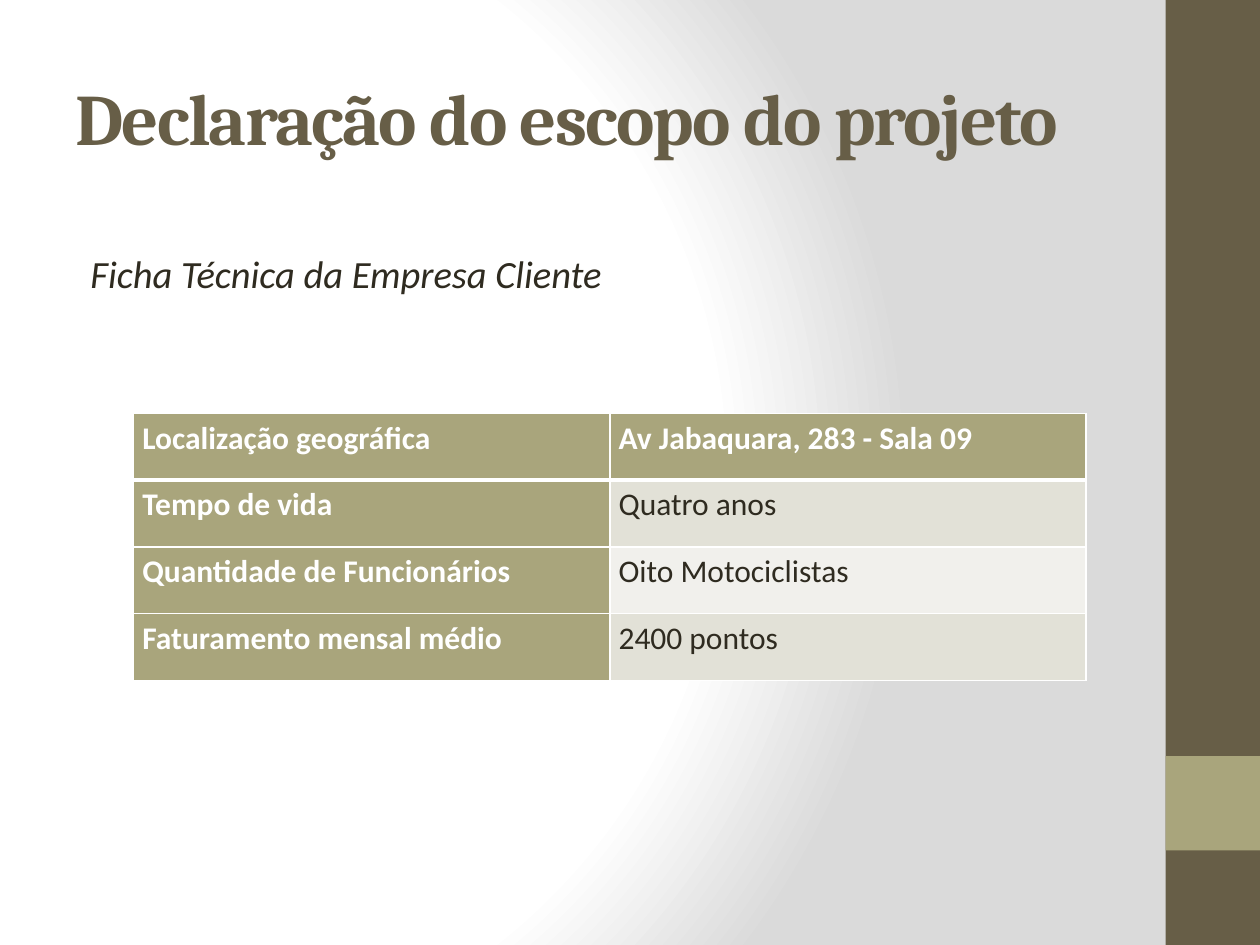
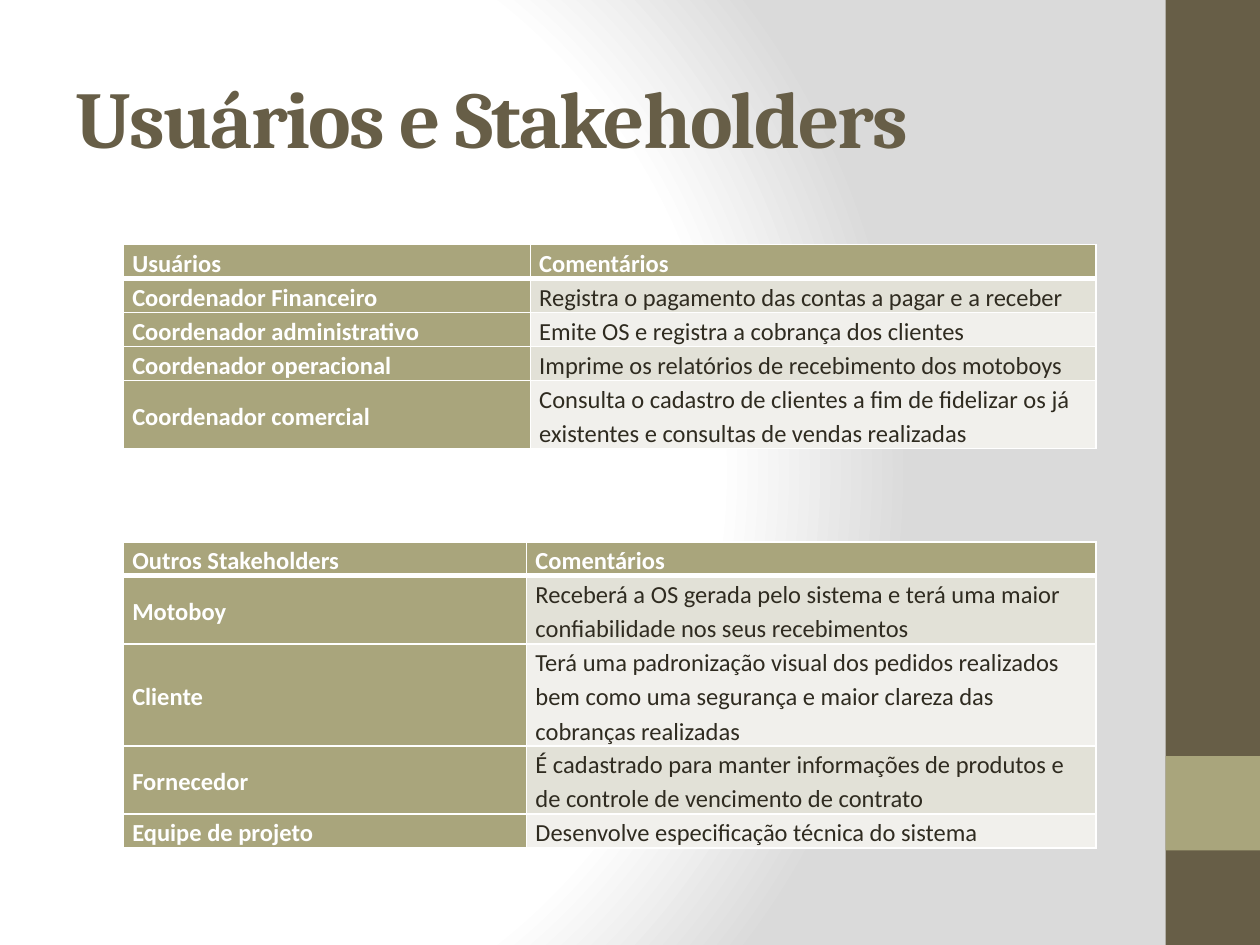
from lxml.etree import SubElement
from pptx import Presentation
from pptx.dml.color import RGBColor
from pptx.enum.shapes import MSO_SHAPE as Shape
from pptx.enum.text import MSO_ANCHOR as Anchor, PP_ALIGN as Align
from pptx.oxml import parse_xml
from pptx.oxml.ns import nsdecls, qn
from pptx.util import Inches, Pt

SLIDE_WIDTH, SLIDE_HEIGHT = Inches(10), Inches(7.5)
COLUMN, ROW = SLIDE_WIDTH / 10, SLIDE_HEIGHT / 7.5

BROWN = RGBColor(0x67, 0x5E, 0x47)
OLIVE = RGBColor(0xA9, 0xA5, 0x7C)
INK = RGBColor(0x2F, 0x2B, 0x20)
WHITE = RGBColor(0xFF, 0xFF, 0xFF)
GREY = RGBColor(0xDA, 0xDA, 0xDA)
BANDS = (RGBColor(0xE2, 0xE1, 0xD7), RGBColor(0xF1, 0xF0, 0xEC))

HEADING_FONT, BODY_FONT = "Cambria", "Calibri"
LINE_ROW = 0.27

CLIENT_ROWS = [
    ("Localização geográfica", "Av Jabaquara, 283 - Sala 09"),
    ("Tempo de vida", "Quatro anos"),
    ("Quantidade de Funcionários", "Oito Motociclistas"),
    ("Faturamento mensal médio", "2400 pontos"),
]
USER_ROWS = [
    ("Usuários", "Comentários"),
    ("Coordenador Financeiro", "Registra o pagamento das contas a pagar e a receber"),
    ("Coordenador administrativo", "Emite OS e registra a cobrança dos clientes"),
    ("Coordenador operacional", "Imprime os relatórios de recebimento dos motoboys"),
    ("Coordenador comercial",
     "Consulta o cadastro de clientes a fim de fidelizar os já existentes "
     "e consultas de vendas realizadas"),
]
STAKEHOLDER_ROWS = [
    ("Outros Stakeholders", "Comentários"),
    ("Motoboy",
     "Receberá a OS gerada pelo sistema e terá uma maior confiabilidade "
     "nos seus recebimentos"),
    ("Cliente",
     "Terá uma padronização visual dos pedidos realizados bem como uma "
     "segurança e maior clareza das cobranças realizadas"),
    ("Fornecedor",
     "É cadastrado para manter informações de produtos e de controle "
     "de vencimento de contrato"),
    ("Equipe de projeto", "Desenvolve especificação técnica do sistema"),
]


def grid(left, top, width, height):
    return (round(left * COLUMN), round(top * ROW),
            round(width * COLUMN), round(height * ROW))


def write(frame, text, size, color, font=BODY_FONT, bold=False, italic=False,
          align=None, line_spacing=None, indent=0, tracking=0):
    para = frame.paragraphs[0]
    para.alignment = align
    para.line_spacing = line_spacing
    if indent:
        para._p.get_or_add_pPr().set("marL", str(Inches(indent)))
    span = para.add_run()
    span.text = text
    span.font.name, span.font.size = font, Pt(size)
    span.font.bold, span.font.italic = bold, italic
    span.font.color.rgb = color
    if tracking:
        span.font._element.set("spc", str(tracking * 100))


def add_text(page, place, text, anchor=Anchor.TOP, **style):
    frame = page.shapes.add_textbox(*grid(*place)).text_frame
    frame.word_wrap = True
    frame.vertical_anchor = anchor
    write(frame, text, **style)


def add_band(page, place, color):
    band = page.shapes.add_shape(Shape.RECTANGLE, *grid(*place))
    band.shadow.inherit = False
    band.fill.solid()
    band.fill.fore_color.rgb = color
    band.line.fill.background()


def set_background(master):
    fill = master.background.fill
    fill.solid()
    solid = master.element.find(".//" + qn("p:bgPr")).find(qn("a:solidFill"))
    stops = "".join(
        f'<a:gs pos="{share * 1000}"><a:srgbClr val="{color}"/></a:gs>'
        for share, color in ((0, WHITE), (75, WHITE), (100, GREY)))
    solid.getparent().replace(solid, parse_xml(
        f'<a:gradFill {nsdecls("a")} rotWithShape="1"><a:gsLst>{stops}</a:gsLst>'
        '<a:path path="circle"><a:fillToRect l="20000" t="50000" r="100000" b="50000"/>'
        '</a:path></a:gradFill>'))


def set_borders(cell, top, bottom):
    properties = cell._tc.get_or_add_tcPr()
    widths = {"L": 1, "R": 1, "T": top, "B": bottom}
    for index, (side, width) in enumerate(widths.items()):
        line = parse_xml(f'<a:ln{side} {nsdecls("a")} w="{Pt(width)}"/>')
        fill = SubElement(line, qn("a:solidFill"))
        SubElement(fill, qn("a:srgbClr")).set("val", str(WHITE))
        properties.insert(index, line)


def fill_cell(cell, text, row, column, size, label_anchor):
    is_label = row == 0 or column == 0
    cell.margin_left = cell.margin_right = Inches(0.07)
    cell.margin_top = cell.margin_bottom = 0
    cell.vertical_anchor = label_anchor if row and column == 0 else Anchor.TOP
    cell.fill.solid()
    cell.fill.fore_color.rgb = OLIVE if is_label else BANDS[(row - 1) % 2]
    set_borders(cell, top=3 if row == 1 else 1, bottom=3 if row == 0 else 1)
    write(cell.text_frame, text, size, WHITE if is_label else INK,
          bold=is_label, line_spacing=1.15)


def add_grid_table(page, left, top, widths, heights, rows, size,
                   label_anchor=Anchor.TOP):
    place = grid(left, top, sum(widths), sum(heights))
    table = page.shapes.add_table(len(rows), len(widths), *place).table
    for column, width in zip(table.columns, widths):
        column.width = round(width * COLUMN)
    for row, height in zip(table.rows, heights):
        row.height = round(height * ROW)
    for row, texts in enumerate(rows):
        for column, text in enumerate(texts):
            fill_cell(table.cell(row, column), text, row, column, size, label_anchor)


def add_page(deck, title, title_size):
    page = deck.slides.add_slide(deck.slide_layouts[6])
    add_band(page, (9.25, 0, 0.75, 7.5), BROWN)
    add_band(page, (9.25, 6, 0.75, 0.75), OLIVE)
    add_text(page, (0.5, 0.3, 8.33, 1.25), title, anchor=Anchor.MIDDLE,
             size=title_size, color=BROWN, font=HEADING_FONT, bold=True, tracking=-1)
    return page


def add_scope_page(deck):
    page = add_page(deck, "Declaração do escopo do projeto", 41.4)
    add_text(page, (0.5, 1.75, 8.33, 5.25), "Ficha Técnica da Empresa Cliente",
             size=22, color=INK, italic=True, align=Align.JUSTIFY,
             line_spacing=1.5, indent=0.12)
    add_grid_table(page, 1.06, 3.28, (3.78, 3.78), [0.53] * 4, CLIENT_ROWS, 18)


def add_stakeholder_page(deck):
    page = add_page(deck, "Usuários e Stakeholders", 46)
    for top, widths, line_counts, rows in (
            (1.94, (3.23, 4.49), (1, 1, 1, 1, 2), USER_ROWS),
            (4.3, (3.2, 4.52), (1, 2, 3, 2, 1), STAKEHOLDER_ROWS)):
        heights = [LINE_ROW * count for count in line_counts]
        add_grid_table(page, 0.98, top, widths, heights, rows, 14, Anchor.MIDDLE)


def main():
    deck = Presentation()
    deck.slide_width, deck.slide_height = SLIDE_WIDTH, SLIDE_HEIGHT
    set_background(deck.slide_master)
    add_scope_page(deck)
    add_stakeholder_page(deck)
    deck.save("out.pptx")


if __name__ == "__main__":
    main()
